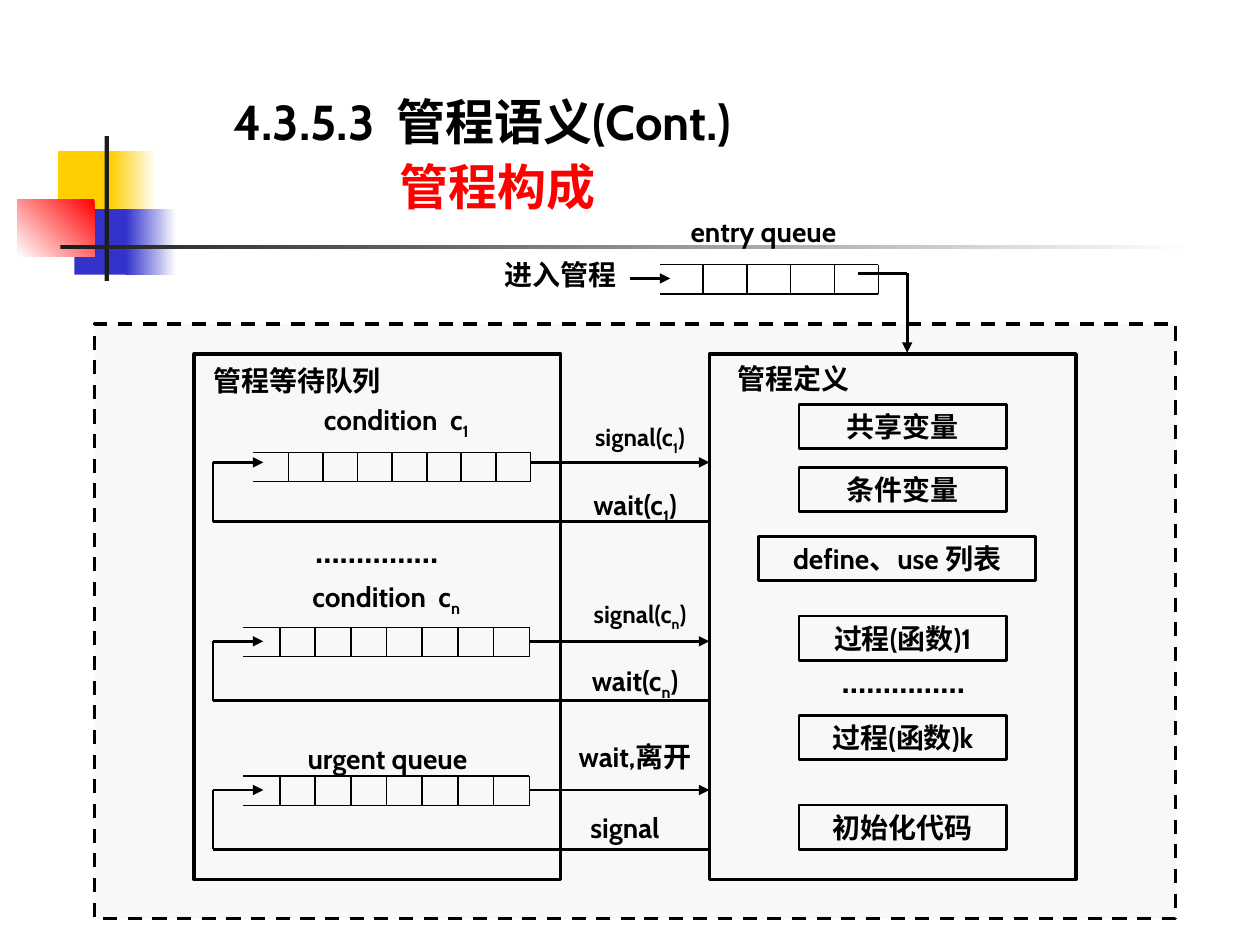
from pptx import Presentation, util as u
from pptx.dml.color import RGBColor
from pptx.enum import dml, shapes, text
from pptx.oxml import ns, xmlchemy as xc

COLS, ROWS = 100, 75
CELL = u.Inches(0.1)
FONT = "Cabin"
BLACK = RGBColor(0, 0, 0)
WHITE = RGBColor(255, 255, 255)
RED = RGBColor(255, 0, 0)
GOLD = RGBColor(0xFF, 0xCF, 0x01)
BLUE = RGBColor(0x33, 0x33, 0xCC)
DARK = RGBColor(0x1C, 0x1C, 0x1C)
PALE = RGBColor(0xF8, 0xF8, 0xF8)


def span(*cells):
    """Turn grid cells into slide lengths."""
    return [round(c * CELL) for c in cells]


def style(para, size, color=BLACK):
    """Format every run of a paragraph."""
    for run in para.runs:
        run.font.name, run.font.size = FONT, u.Pt(size)
        run.font.bold, run.font.color.rgb = True, color


def write(frame, words, size=16):
    """Write one centred line, in which _ lowers the next letter."""
    frame.word_wrap = True
    frame.vertical_anchor = text.MSO_ANCHOR.MIDDLE
    para = frame.paragraphs[0]
    para.alignment = text.PP_ALIGN.CENTER
    head, *rest = words.split("_")
    para.text = head
    for part in rest:
        low = para.add_run()
        low.text = part[0]
        low._r.get_or_add_rPr().set("baseline", "-25000")
        if part[1:]:
            para.add_run().text = part[1:]
    style(para, size)


def trim(frame, side=0, top=0):
    """Set the inner margins of a text frame."""
    frame.margin_left = frame.margin_right = u.Inches(side)
    frame.margin_top = frame.margin_bottom = u.Inches(top)


def label(slide, at, words, size=16):
    """Add a free line of text."""
    box = slide.shapes.add_textbox(*span(*at))
    trim(box.text_frame)
    write(box.text_frame, words, size)


def block(slide, at, fill=None, line=None, fade=None):
    """Add a rectangle, plain or fading to white at an angle."""
    rect = slide.shapes.add_shape(shapes.MSO_SHAPE.RECTANGLE, *span(*at))
    rect.shadow.inherit = False
    if fade is not None:
        rect.fill.gradient()
        rect.fill.gradient_angle = fade
        for stop, color in zip(rect.fill.gradient_stops, (fill, WHITE)):
            stop.color.rgb = color
    elif fill is not None:
        rect.fill.solid()
        rect.fill.fore_color.rgb = fill
    else:
        rect.fill.background()
    if line:
        rect.line.color.rgb, rect.line.width = BLACK, u.Pt(line)
    else:
        rect.line.fill.background()
    return rect


def part(slide, top, words, left=63.4, width=16.5):
    """Add a framed part of the monitor definition."""
    rect = block(slide, (left, top, width, 3.5), line=1.5)
    trim(rect.text_frame, 0.12, 0.04)
    write(rect.text_frame, words)


def stroke(slide, x1, y1, x2, y2, width=1.5, arrow=False):
    """Add a straight line, with an arrowhead if asked."""
    line = slide.shapes.add_connector(
        shapes.MSO_CONNECTOR.STRAIGHT, *span(x1, y1, x2, y2))
    line.line.color.rgb, line.line.width = BLACK, u.Pt(width)
    if arrow:
        tip = xc.OxmlElement("a:tailEnd")
        tip.set("type", "triangle")
        line.line._get_or_add_ln().append(tip)
    line._element.spPr.append(xc.OxmlElement("a:effectLst"))


def queue(slide, left, first, right, top, count):
    """Draw a queue of equal cells that is open on the left."""
    low = top + 2.33
    for y in (top, low):
        stroke(slide, left, y, right, y, 0.75)
    step = (right - first) / count
    for i in range(count + 1):
        x = first + i * step
        stroke(slide, x, top, x, low, 0.75 if i == count else 1)


def loop(slide, top):
    """Draw the arrows between a queue and the definition."""
    low = top + 4.7
    stroke(slide, 42.1, top, 56.3, top, arrow=True)
    stroke(slide, 56.3, low, 16.9, low)
    stroke(slide, 16.9, low, 16.9, top)
    stroke(slide, 16.9, top, 20.9, top, arrow=True)


def decor(slide):
    """Draw the coloured squares and rules beside the title."""
    block(slide, (4.6, 12, 4.8, 5.2), GOLD)
    block(slide, (8.8, 12, 3.6, 5.2), GOLD, fade=0)
    block(slide, (5.9, 16.6, 4.6, 5.2), BLUE)
    block(slide, (10, 16.6, 4, 5.2), BLUE, fade=0)
    block(slide, (1.4, 15.8, 6.1, 4.6), RED, fade=225)
    block(slide, (8.3, 10.8, 0.35, 11.5), DARK)
    block(slide, (4.8, 19.45, 90, 0.35), DARK, fade=0)


def title(slide):
    """Write the two title lines."""
    frame = slide.shapes.add_textbox(*span(18.5, 6.8, 51.8, 10.3)).text_frame
    trim(frame)
    frame.word_wrap = True
    frame.vertical_anchor = text.MSO_ANCHOR.BOTTOM
    top, sub = frame.paragraphs[0], frame.add_paragraph()
    top.text, sub.text = "4.3.5.3  管程语义(Cont.)", "管程构成"
    sub._p.get_or_add_pPr().set("marL", str(u.Inches(1.32)))
    for para, color in ((top, BLACK), (sub, RED)):
        para.line_spacing = 1.1
        style(para, 28, color)


def waits(slide):
    """Draw the waiting queues and their signals."""
    block(slide, (15.4, 28.1, 29.1, 41.7), line=2)
    label(slide, (16.1, 28.8, 15, 2.7), "管程等待队列")
    queue(slide, 20.1, 22.9, 42.1, 35.9, 7)
    for top in (49.8, 61.6):
        queue(slide, 19.3, 22.2, 42, top, 7)
    for top in (36.7, 50.9, 62.7):
        loop(slide, top)
    for top, left, width, key in ((32, 23.2, 16.5, "1"), (46, 23.2, 14.9, "n")):
        label(slide, (left, top, width, 3), f"condition  c_{key}")
        label(slide, (44.5, top + 1.5, 12.6, 2.7), f"signal(c_{key})", 14)
        label(slide, (45.3, top + 6.7, 10.2, 3), f"wait(c_{key})")
    label(slide, (22.4, 42, 15, 3.3), "……………", 20)
    label(slide, (21.7, 58.8, 18.1, 2.7), "urgent queue")
    label(slide, (45.3, 57.4, 10.2, 5.3), "wait,离开")
    label(slide, (44.5, 64.3, 10.2, 2.7), "signal")


def define(slide):
    """Draw the monitor definition and its parts."""
    block(slide, (56.3, 28.1, 29.1, 41.7), line=2)
    label(slide, (57.1, 28.7, 11.8, 2.7), "管程定义")
    part(slide, 32.1, "共享变量")
    part(slide, 37.1, "条件变量")
    part(slide, 42.6, "define、use 列表", 60.2, 22)
    part(slide, 48.9, "过程(函数)1")
    label(slide, (64.2, 52.3, 15, 3.3), "……………", 20)
    part(slide, 56.8, "过程(函数)k")
    part(slide, 63.9, "初始化代码")


def entry(slide):
    """Draw the entry queue above the monitor."""
    label(slide, (53.1, 17, 15, 2.7), "entry queue")
    label(slide, (38.2, 20.4, 12.6, 2.7), "进入管程")
    queue(slide, 52.4, 55.8, 69.7, 21, 4)
    stroke(slide, 50, 22.1, 53.2, 22.1, 1.75, True)
    stroke(slide, 68.1, 21.7, 72, 21.7, 1.75)
    stroke(slide, 72, 21.7, 72, 28, arrow=True)


def main():
    """Build and save the slide."""
    deck = Presentation()
    deck.slide_width, deck.slide_height = span(COLS, ROWS)
    slide = deck.slides.add_slide(deck.slide_layouts[6])
    decor(slide)
    title(slide)
    frame = block(slide, (7.5, 25.7, 85.8, 47.2), PALE, 2)
    frame.line.dash_style = dml.MSO_LINE.DASH
    waits(slide)
    define(slide)
    entry(slide)
    deck.save("out.pptx")


if __name__ == "__main__":
    main()
